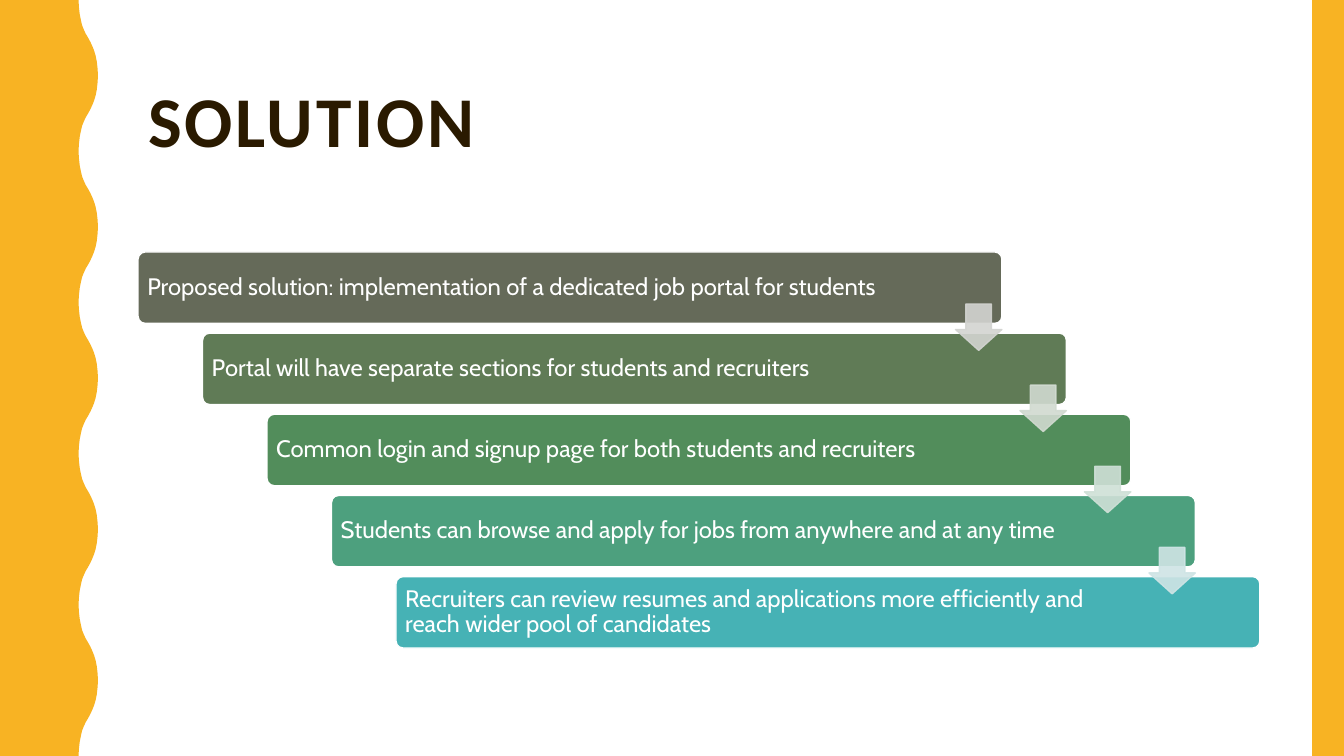
from lxml.etree import SubElement
from pptx import Presentation
from pptx.dml.color import RGBColor
from pptx.enum.shapes import MSO_SHAPE
from pptx.enum.text import MSO_ANCHOR, MSO_AUTO_SIZE, PP_ALIGN
from pptx.oxml.ns import qn
from pptx.util import Cm, Pt

COLORS = {"gold": "F8B323", "ink": "2A1A00", "white": "FFFFFF"}
STEPS = [
    ("Proposed solution: implementation of a dedicated job portal for students", "656A59"),
    ("Portal will have separate sections for students and recruiters", "607B56"),
    ("Common login and signup page for both students and recruiters", "528D5B"),
    ("Students can browse and apply for jobs from anywhere and at any time", "4DA07E"),
    ("Recruiters can review resumes and applications more efficiently and "
     "reach wider pool of candidates", "46B2B5"),
]
ARROW_COLORS = ["D3D4D1", "D1DAD0", "CFE0D7", "CFE4E5"]
HALF_WAVE = [(0, 0), (0.01, 0.18), (0.03, 0.36), (0.06, 0.51), (0.09, 0.64),
             (0.13, 0.74), (0.18, 0.85), (0.24, 0.95), (0.3, 1.06), (0.35, 1.17),
             (0.39, 1.27), (0.43, 1.4), (0.46, 1.55), (0.48, 1.73), (0.49, 1.9)]


def paint(sp, fill, line=None, opacity=None):
    sp.shadow.inherit = False
    sp.fill.solid()
    sp.fill.fore_color.rgb = RGBColor.from_string(fill)
    if line:
        sp.line.color.rgb = RGBColor.from_string(line)
        sp.line.width = Pt(1)
    else:
        sp.line.fill.background()
    if opacity:
        for color in sp._element.spPr.iter(qn("a:srgbClr")):
            SubElement(color, qn("a:alpha"), val=str(opacity * 1000))


def write(sp, text, size, font, color, bold=False, spacing=None, insets=None):
    tf = sp.text_frame
    tf.word_wrap = True
    tf.auto_size = MSO_AUTO_SIZE.NONE
    tf.vertical_anchor = MSO_ANCHOR.MIDDLE
    if insets:
        tf.margin_left, tf.margin_top, tf.margin_right, tf.margin_bottom = map(Cm, insets)
    p = tf.paragraphs[0]
    p.alignment = PP_ALIGN.LEFT
    p.line_spacing = 0.9
    r = p.add_run()
    r.text = text
    r.font.size = Pt(size)
    r.font.name = font
    r.font.bold = bold
    r.font.color.rgb = RGBColor.from_string(color)
    if spacing:
        r._r.get_or_add_rPr().set("spc", str(spacing * 100))


def add_title(s, text, x, y, w, h):
    sp = s.shapes.title
    sp.left, sp.top, sp.width, sp.height = Cm(x), Cm(y), Cm(w), Cm(h)
    write(sp, text, size=51, font="Calibri", color=COLORS["ink"], bold=True, spacing=2)


def add_wavy_band(s, x, y, w, h, waves=5):
    period = h / waves
    half = period / 2
    crest = x + w - HALF_WAVE[-1][0]
    rising = HALF_WAVE[:-1] + [(HALF_WAVE[-1][0], half)]
    falling = [(dx, period - dy) for dx, dy in reversed(rising[:-1])]
    edge = [(crest + dx, y + n * period + dy)
            for n in range(waves) for dx, dy in rising + falling]
    points = [(Cm(px), Cm(py)) for px, py in edge + [(x, y + h)]]
    builder = s.shapes.build_freeform(Cm(x), Cm(y))
    builder.add_line_segments(points, close=True)
    paint(builder.convert_to_shape(), COLORS["gold"])


def add_side_bar(s, x, y, w, h):
    sp = s.shapes.add_shape(MSO_SHAPE.RECTANGLE, Cm(x), Cm(y), Cm(w), Cm(h))
    paint(sp, COLORS["gold"])


def add_staircase(s, x, y, w, h, bar_w=21.77, bar_h=1.8, arrow=1.17):
    dx = (w - bar_w) / (len(STEPS) - 1)
    dy = (h - bar_h) / (len(STEPS) - 1)
    for i, (text, color) in enumerate(STEPS):
        sp = s.shapes.add_shape(MSO_SHAPE.ROUNDED_RECTANGLE, Cm(x + i * dx),
                                Cm(y + i * dy), Cm(bar_w), Cm(bar_h))
        sp.adjustments[0] = 0.1
        paint(sp, color, line=COLORS["white"])
        write(sp, text, size=17, font="Cabin", color=COLORS["white"],
              insets=(0.18, 0.18, 3, 0.18))
    for i, color in enumerate(ARROW_COLORS):
        sp = s.shapes.add_shape(MSO_SHAPE.DOWN_ARROW, Cm(x + i * dx + bar_w - arrow),
                                Cm(y + i * dy + 1.31), Cm(arrow), Cm(arrow))
        sp.adjustments[0] = 0.55
        sp.adjustments[1] = 0.45
        paint(sp, color, line=color, opacity=90)


def main():
    prs = Presentation()
    prs.slide_width, prs.slide_height = Cm(33.87), Cm(19.05)
    s = prs.slides.add_slide(prs.slide_layouts[5])
    add_title(s, "SOLUTION", 3.48, 1.07, 28.27, 4.14)
    add_wavy_band(s, 0, 0, 2.47, 19.05)
    add_side_bar(s, 33.07, 0, 0.8, 19.05)
    add_staircase(s, 3.48, 6.35, 28.27, 9.98)
    prs.save("out.pptx")


if __name__ == "__main__":
    main()
